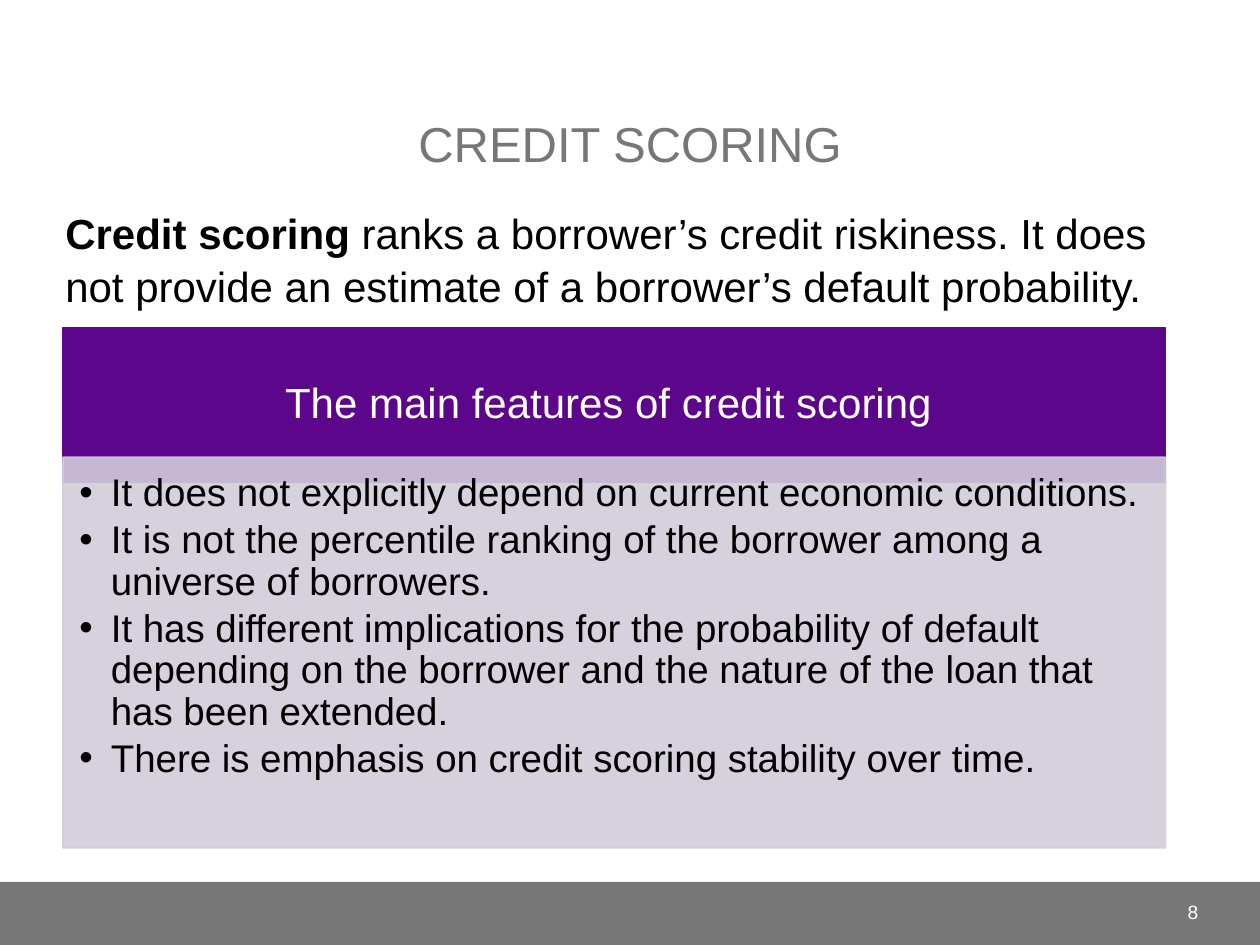
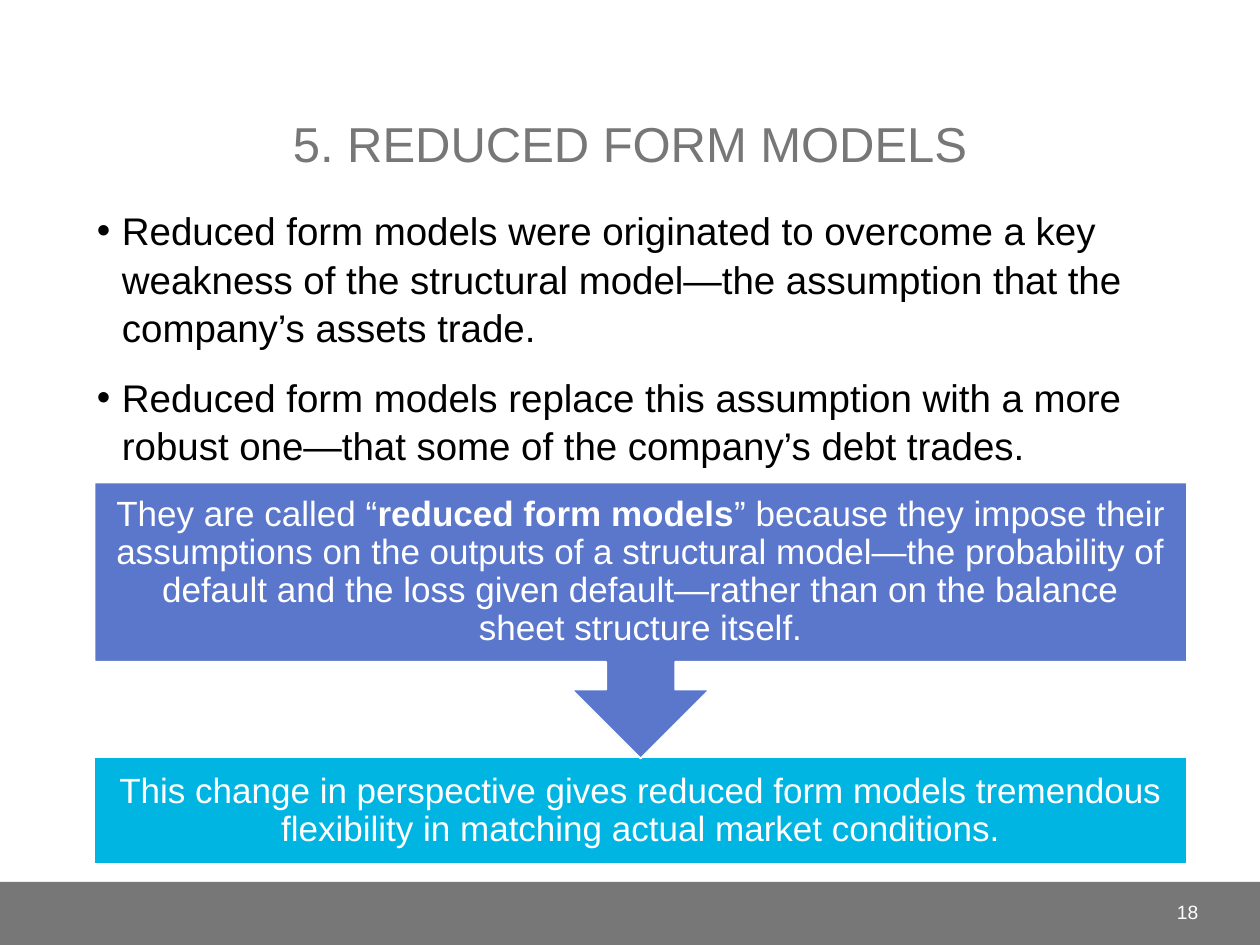
from dataclasses import dataclass

from lxml import etree
from pptx import Presentation
from pptx.dml.color import RGBColor
from pptx.enum import shapes, text
from pptx.oxml import ns
from pptx.util import Inches, Pt


@dataclass(frozen=True)
class Theme:
    font: str = "Arial"
    gray: str = "777777"
    white: str = "FFFFFF"
    black: str = "000000"
    purple: str = "5C068C"
    lilac: str = "D2CCDA"
    blue: str = "5B77CC"
    cyan: str = "00B5E2"
    title_size: int = 28
    lead_size: int = 24
    bullet_size: int = 22
    callout_size: int = 20
    number_size: int = 11
    body_spacing: float = 1.05
    tight_spacing: float = 0.9


THEME = Theme()
CENTER = text.PP_ALIGN.CENTER
RECTANGLE = shapes.MSO_SHAPE.RECTANGLE
SLIDE_WIDTH, SLIDE_HEIGHT, BAND_HEIGHT = 10, 7.5, 0.5

# Each paragraph is a list of pieces; every second piece is bold.
SCORING = {
    "title": "CREDIT SCORING",
    "number": 8,
    "lead": [["", "Credit scoring", " ranks a borrower’s credit riskiness. It does not "
              "provide an estimate of a borrower’s default probability."]],
    "heading": [["The main features of credit scoring "]],
    "features": [
        ["It does not explicitly depend on current economic conditions."],
        ["It is not the percentile ranking of the borrower among a universe of borrowers."],
        ["It has different implications for the probability of default depending on the "
         "borrower and the nature of the loan that has been extended."],
        ["There is emphasis on credit scoring stability over time."],
    ],
}
REDUCED_FORM = {
    "title": "5. REDUCED FORM MODELS",
    "number": 18,
    "points": [
        ["Reduced form models were originated to overcome a key weakness of the structural "
         "model—the assumption that the company’s assets trade."],
        ["Reduced form models replace this assumption with a more robust one—that some of "
         "the company’s debt trades."],
    ],
    "reason": [["They are called “", "reduced form models", "” because they impose their "
                "assumptions on the outputs of a structural model—the probability of default "
                "and the loss given default—rather than on the balance sheet structure itself."]],
    "result": [["This change in perspective gives reduced form models tremendous flexibility "
                "in matching actual market conditions."]],
}


def place(shape, box):
    shape.left, shape.top, shape.width, shape.height = map(Inches, box)


def add_bullet(paragraph, indent):
    properties = paragraph._p.get_or_add_pPr()
    properties.set("marL", str(Inches(indent)))
    properties.set("indent", str(-Inches(indent)))
    etree.SubElement(properties, ns.qn("a:buFont"), typeface=THEME.font)
    etree.SubElement(properties, ns.qn("a:buChar"), char="•")


def write(shape, paragraphs, size, color, align=text.PP_ALIGN.LEFT, anchor=text.MSO_ANCHOR.TOP,
          spacing=1.0, gap=0, indent=0, insets=(0.1, 0.05, 0.1, 0.05)):
    """Fill a shape with paragraphs; an indent gives them bullets."""
    frame = shape.text_frame
    frame.word_wrap = True
    frame.vertical_anchor = anchor
    (frame.margin_left, frame.margin_top,
     frame.margin_right, frame.margin_bottom) = map(Inches, insets)
    for index, pieces in enumerate(paragraphs):
        paragraph = frame.add_paragraph() if index else frame.paragraphs[0]
        if indent:
            add_bullet(paragraph, indent)
        paragraph.alignment = align
        paragraph.line_spacing = spacing
        paragraph.space_after = Pt(gap)
        for position, piece in enumerate(pieces):
            if not piece:
                continue
            run = paragraph.add_run()
            run.text = piece
            run.font.name = THEME.font
            run.font.size = Pt(size)
            run.font.bold = position % 2 == 1
            run.font.color.rgb = RGBColor.from_string(color)


def add_text(slide, box, paragraphs, size, color, **style):
    write(slide.shapes.add_textbox(*map(Inches, box)), paragraphs, size, color, **style)


def add_block(slide, box, fill, line=None, kind=RECTANGLE):
    shape = slide.shapes.add_shape(kind, *map(Inches, box))
    shape.shadow.inherit = False
    shape.fill.solid()
    shape.fill.fore_color.rgb = RGBColor.from_string(fill)
    if line:
        shape.line.color.rgb = RGBColor.from_string(line)
        shape.line.width = Pt(1)
    else:
        shape.line.fill.background()
    return shape


def set_opacity(shape, percent):
    for color in shape._element.spPr.iter(ns.qn("a:srgbClr")):
        etree.SubElement(color, ns.qn("a:alpha"), val=str(percent * 1000))


def add_slide(presentation, content):
    """Add a slide with its title, footer band and page number."""
    slide = presentation.slides.add_slide(presentation.slide_layouts[5])
    place(slide.shapes.title, (0.42, 0.17, 9.16, 1.25))
    write(slide.shapes.title, [[content["title"]]], THEME.title_size, THEME.gray,
          align=CENTER, anchor=text.MSO_ANCHOR.BOTTOM)
    add_block(slide, (0, SLIDE_HEIGHT - BAND_HEIGHT, SLIDE_WIDTH, BAND_HEIGHT), THEME.gray)
    add_text(slide, (8.75, 7.04, 0.86, 0.4), [[str(content["number"])]], THEME.number_size,
             THEME.white, align=text.PP_ALIGN.RIGHT, anchor=text.MSO_ANCHOR.MIDDLE)
    return slide


def add_scoring_slide(presentation):
    slide = add_slide(presentation, SCORING)
    add_text(slide, (0.42, 1.58, 9.16, 1.25), SCORING["lead"], THEME.lead_size, THEME.black,
             spacing=THEME.body_spacing, gap=6)
    heading = add_block(slide, (0.5, 2.6, 8.75, 1.23), THEME.purple, THEME.purple)
    write(heading, SCORING["heading"], THEME.lead_size, THEME.white, align=CENTER,
          anchor=text.MSO_ANCHOR.MIDDLE, spacing=THEME.tight_spacing,
          insets=(0.19, 0.11, 0.19, 0.11))
    panel = add_block(slide, (0.5, 3.63, 8.75, 3.1), THEME.lilac, THEME.lilac)
    set_opacity(panel, 90)
    write(panel, SCORING["features"], THEME.bullet_size, THEME.black,
          spacing=THEME.tight_spacing, gap=3, indent=0.25, insets=(0.13, 0.13, 0.17, 0.19))


def add_reduced_form_slide(presentation):
    slide = add_slide(presentation, REDUCED_FORM)
    add_text(slide, (0.67, 1.58, 9.16, 2.33), REDUCED_FORM["points"], THEME.bullet_size,
             THEME.black, spacing=THEME.body_spacing, gap=12, indent=0.2)
    steps = [
        ("result", 6.01, 0.85, THEME.cyan, RECTANGLE),
        ("reason", 3.83, 2.19, THEME.blue, shapes.MSO_SHAPE.DOWN_ARROW_CALLOUT),
    ]
    for name, top, height, fill, kind in steps:
        step = add_block(slide, (0.75, top, 8.67, height), fill, THEME.white, kind)
        write(step, REDUCED_FORM[name], THEME.callout_size, THEME.white, align=CENTER,
              anchor=text.MSO_ANCHOR.MIDDLE, spacing=THEME.tight_spacing, insets=(0.16,) * 4)


def main():
    presentation = Presentation()
    presentation.slide_width = Inches(SLIDE_WIDTH)
    presentation.slide_height = Inches(SLIDE_HEIGHT)
    add_scoring_slide(presentation)
    add_reduced_form_slide(presentation)
    presentation.save("out.pptx")


if __name__ == "__main__":
    main()
